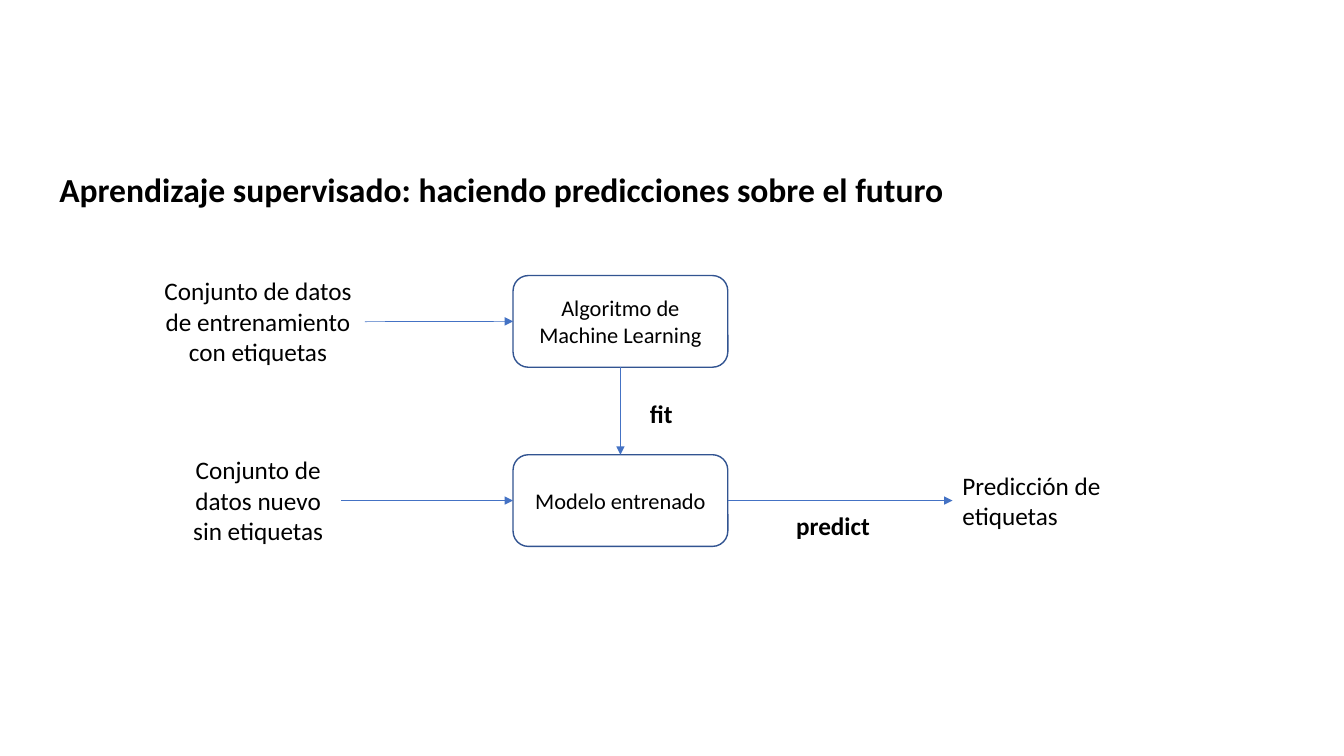
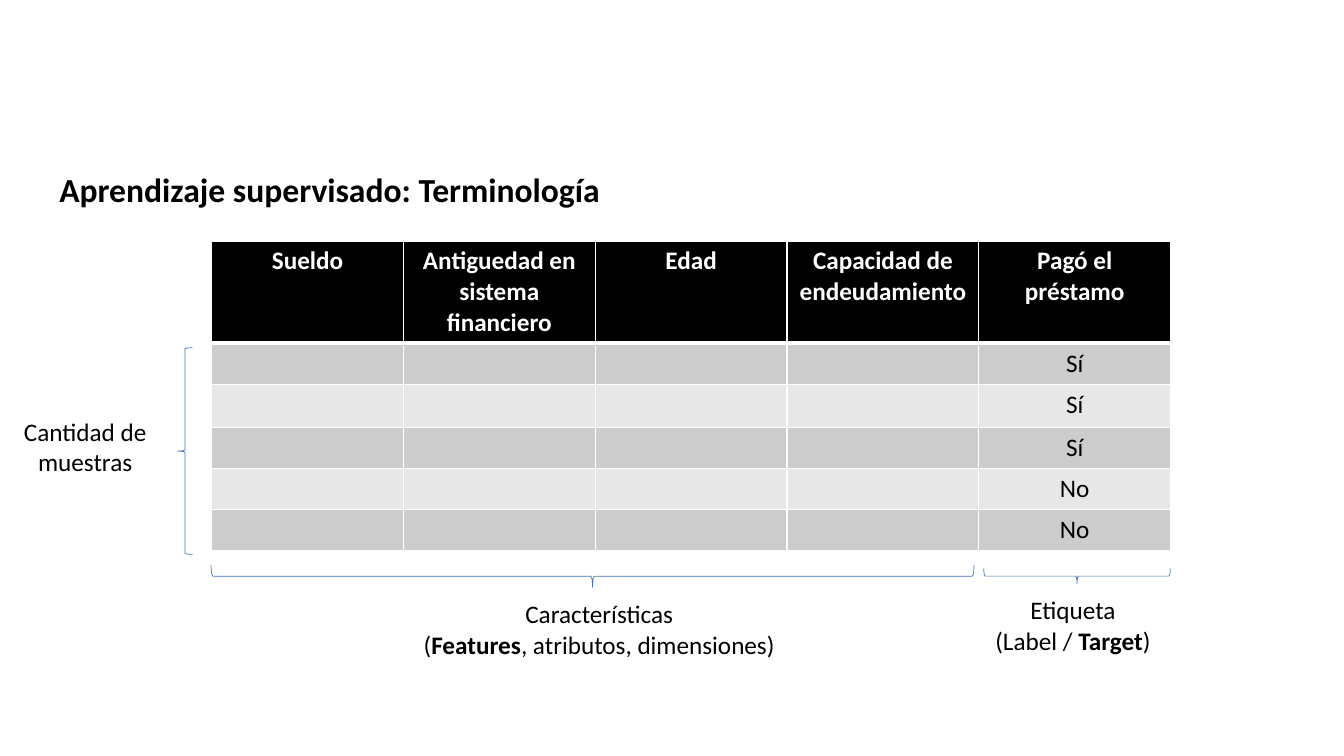
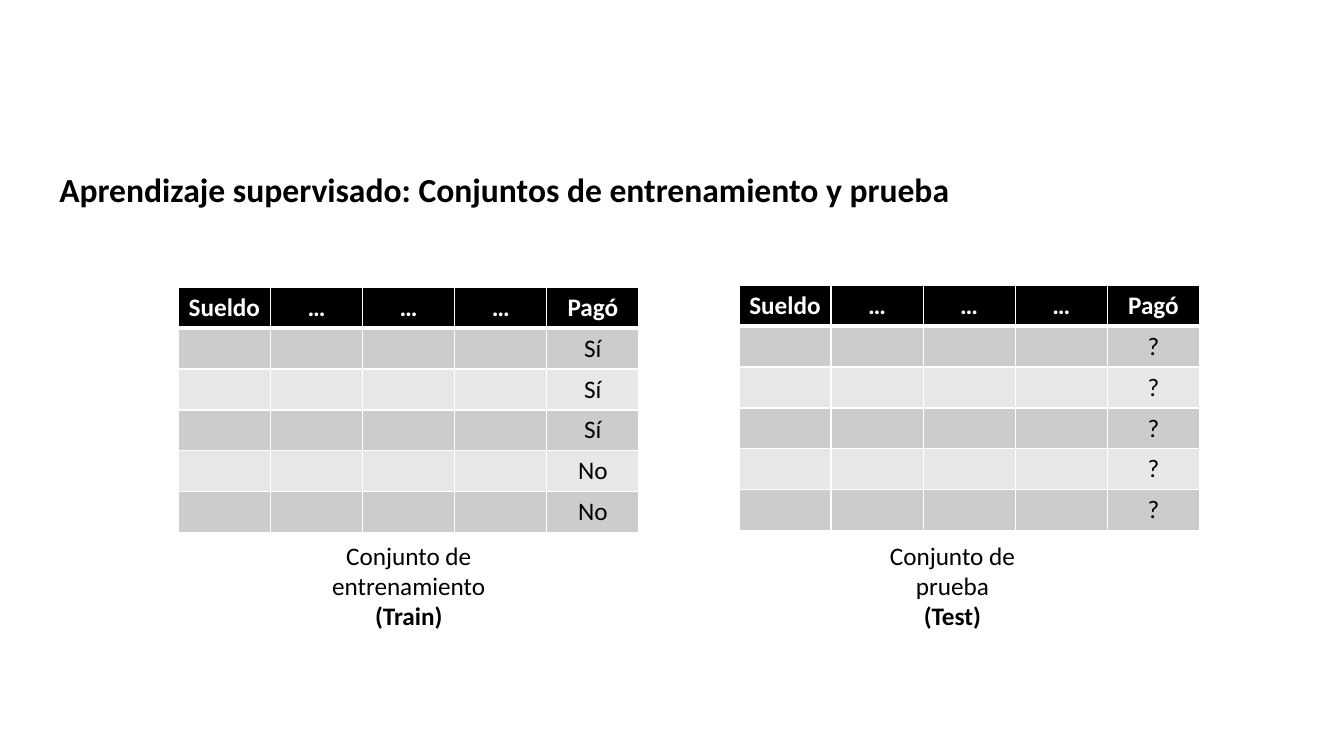
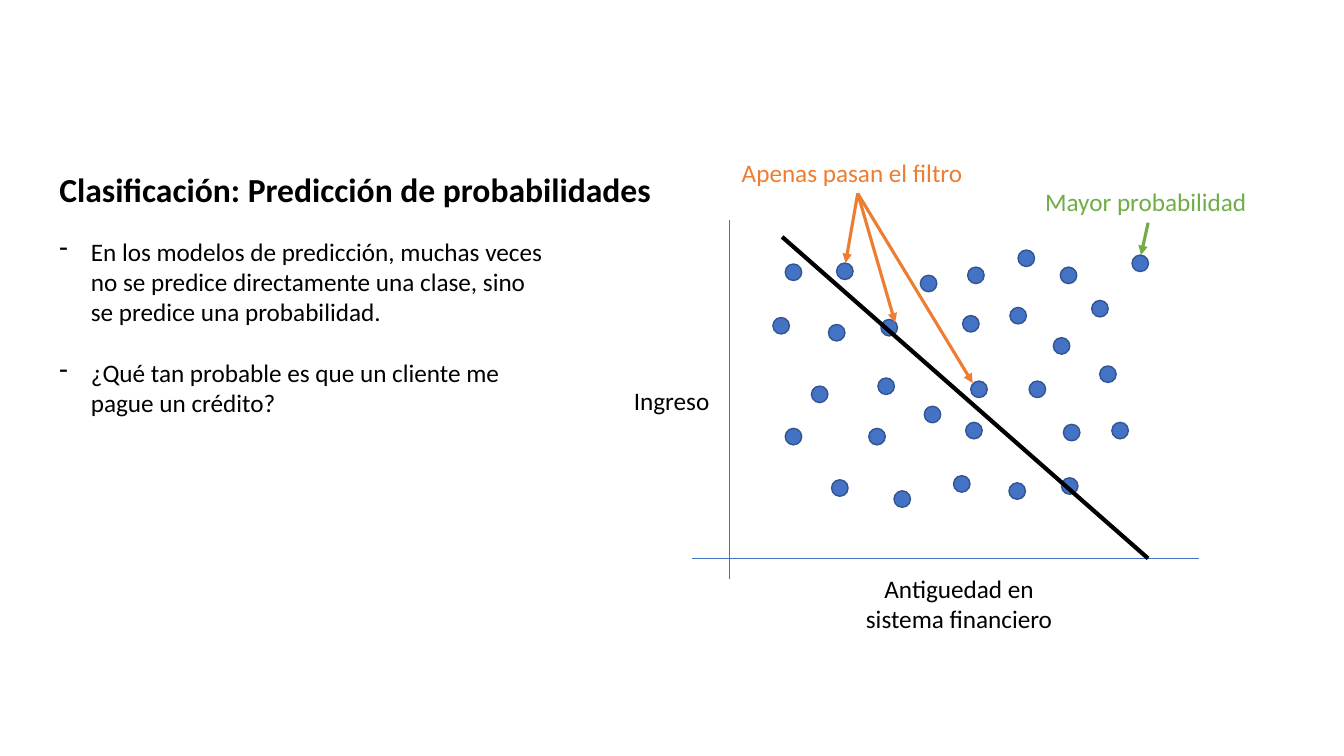
from lxml.etree import SubElement
from pptx import Presentation
from pptx.dml.color import RGBColor
from pptx.enum.shapes import MSO_CONNECTOR, MSO_SHAPE
from pptx.enum.text import MSO_ANCHOR, PP_ALIGN
from pptx.oxml.ns import qn
from pptx.util import Pt

FONT = "Calibri"
BLACK, WHITE = "000000", "FFFFFF"
BLUE, NAVY = "4472C4", "325491"
ORANGE, GREEN = "ED7D31", "70AD47"
BANDS = ["CCCCCC", "E7E7E7"]
TOP, LEFT, BOTTOM, RIGHT = range(4)

TITLES = [
    "Aprendizaje supervisado: haciendo predicciones sobre el futuro",
    "Aprendizaje supervisado: Terminología",
    "Aprendizaje supervisado: Conjuntos de entrenamiento y prueba",
    "Clasificación: Predicción de probabilidades",
]

STAGES = {
    "algoritmo": ("Algoritmo de Machine Learning", 366.5, 196.8, 153.4, 65.5),
    "modelo": ("Modelo entrenado", 366.5, 324.8, 153.4, 65.5),
}
DATASETS = {
    "entrenamiento": ("Conjunto de datos de entrenamiento con etiquetas", 108, 193.4, 152.6, 72.7, PP_ALIGN.CENTER),
    "nuevo": ("Conjunto de datos nuevo sin etiquetas", 125, 321.2, 118.8, 72.7, PP_ALIGN.CENTER),
    "etiquetas": ("Predicción de etiquetas", 680.4, 332.1, 118.8, 50.9, PP_ALIGN.LEFT),
}
FLOWS = [
    ("entrenamiento", RIGHT, "algoritmo", LEFT),
    ("algoritmo", BOTTOM, "modelo", TOP),
    ("nuevo", RIGHT, "modelo", LEFT),
    ("modelo", RIGHT, "etiquetas", LEFT),
]
METHODS = [("*fit*", 457.2, 280.8, 39, 29), ("*predict*", 561.6, 360.7, 76.3, 29)]

LOAN_HEADER = ["Sueldo", "Antiguedad en sistema financiero", "Edad",
               "Capacidad de endeudamiento", "Pagó el préstamo"]
SHORT_HEADER = ["Sueldo", "…", "…", "…", "Pagó"]
PAID = ["Sí", "Sí", "Sí", "No", "No"]
UNKNOWN = ["?"] * 5
TERMS = [
    (["Etiqueta", "(Label / *Target*)"], 696.2, 421.2, 140.4, 51),
    (["Características", "(*Features*, atributos, dimensiones)"], 275, 424.1, 306, 51),
    (["Cantidad de muestras"], -4.3, 293.8, 130.3, 51),
]
BRACES = [(126.7, 248.4, 10.8, 147.6, 0), (415.4, 139, 15.8, 545, 270),
          (763.9, 344.9, 10.8, 133.2, 270)]
SPLITS = [
    (127.4, 205.2, PAID, ["Conjunto de entrenamiento", "*(Train)*"], 209.5, 164.9),
    (527.8, 203.8, UNKNOWN, ["Conjunto de prueba", "*(Test)*"], 609.8, 141.1),
]

POINTS = [
    "En los modelos de predicción, muchas veces no se predice directamente una clase, sino se predice una probabilidad.",
    "¿Qué tan probable es que un cliente me pague un crédito?",
]
CLIENT_SIZE = 11.8
CLIENTS = [
    (566.8, 194.5), (558, 232.7), (603.5, 193.8), (585.5, 281.7), (597.7, 237.7),
    (635.2, 234.1), (633, 275.9), (626.5, 311.9), (566.8, 311.9), (693.5, 231.3),
    (727.3, 225.5), (666.1, 296.1), (699.3, 278.1), (741, 278.1), (599.9, 348.6),
    (644.5, 356.5), (695.7, 307.6), (687, 345.7), (726.6, 350.8), (765.5, 309),
    (764.1, 347.2), (800.1, 307.6), (758.3, 247.1), (785.7, 220.5), (814.5, 188.1),
    (791.4, 267.3), (663.3, 202.5), (697.1, 196.7), (733.1, 184.5), (763.3, 196.7),
]
AXES = [(521.3, 157, 521.3, 413.3), (494.6, 398.9, 856.1, 398.9)]
FILTER_LINE = (558.7, 169.2, 820.1, 398.9)
PLOT_LABELS = [
    ("Ingreso", 445.7, 271.4, 81.4, 29, BLACK, PP_ALIGN.LEFT),
    ("Antiguedad en sistema financiero", 609.8, 406.1, 150.5, 51, BLACK, PP_ALIGN.CENTER),
    ("Mayor probabilidad", 739.4, 129.6, 161.3, 29, GREEN, PP_ALIGN.LEFT),
    ("Apenas pasan el filtro", 522.7, 108.7, 180.7, 29, ORANGE, PP_ALIGN.LEFT),
]
POINTERS = [
    (612.7, 138.2, 604, 187.9, ORANGE), (612.7, 138.2, 639.4, 230.4, ORANGE),
    (612.7, 138.2, 694.8, 273.6, ORANGE), (820.1, 159.1, 815, 182.2, GREEN),
]


def rgb(code):
    return RGBColor.from_string(code)


def write(frame, lines, size=18, color=BLACK, bold=False, align=PP_ALIGN.LEFT,
          spacing=None, gap=0, bullet=None):
    frame.word_wrap = True
    for index, line in enumerate([lines] if isinstance(lines, str) else lines):
        paragraph = frame.add_paragraph() if index else frame.paragraphs[0]
        if bullet:
            properties = paragraph._p.get_or_add_pPr()
            properties.set("marL", str(Pt(22.5)))
            properties.set("indent", str(-Pt(22.5)))
            SubElement(properties, qn("a:buChar")).set("char", bullet)
        paragraph.alignment = align
        if spacing:
            paragraph.line_spacing = spacing
        if index and gap:
            paragraph.space_before = Pt(gap)
        for part, words in enumerate(line.split("*")):
            if words:
                run = paragraph.add_run()
                run.text = words
                run.font.name = FONT
                run.font.size = Pt(size)
                run.font.bold = bold or part % 2 == 1
                run.font.color.rgb = rgb(color)


def add_text(slide, lines, x, y, width, height, **style):
    box = slide.shapes.add_textbox(Pt(x), Pt(y), Pt(width), Pt(height))
    write(box.text_frame, lines, **style)
    return box


def add_outline(slide, preset, x, y, width, height, line, weight, fill=None):
    shape = slide.shapes.add_shape(preset, Pt(x), Pt(y), Pt(width), Pt(height))
    shape.shadow.inherit = False
    if fill:
        shape.fill.solid()
        shape.fill.fore_color.rgb = rgb(fill)
    else:
        shape.fill.background()
    shape.line.color.rgb = rgb(line)
    shape.line.width = Pt(weight)
    return shape


def add_line(slide, x1, y1, x2, y2, color=BLUE, weight=0.5, arrow=False):
    line = slide.shapes.add_connector(MSO_CONNECTOR.STRAIGHT, Pt(x1), Pt(y1), Pt(x2), Pt(y2))
    line.line.color.rgb = rgb(color)
    line.line.width = Pt(weight)
    if arrow:
        SubElement(line.line._get_or_add_ln(), qn("a:tailEnd")).set("type", "triangle")
    SubElement(line._element.spPr, qn("a:effectLst"))
    return line


def add_borders(cell, top, bottom):
    properties = cell._tc.get_or_add_tcPr()
    for side, weight in (("L", 1), ("R", 1), ("T", top), ("B", bottom)):
        edge = SubElement(properties, qn("a:ln" + side))
        edge.set("w", str(Pt(weight)))
        SubElement(SubElement(edge, qn("a:solidFill")), qn("a:srgbClr")).set("val", WHITE)


def add_samples(slide, header, labels, x, y, column, heights):
    rows = [header] + [[""] * (len(header) - 1) + [label] for label in labels]
    table = slide.shapes.add_table(len(rows), len(header), Pt(x), Pt(y),
                                   Pt(column * len(header)), Pt(sum(heights))).table
    table.first_row = table.horz_banding = False
    for grid_column in table.columns:
        grid_column.width = Pt(column)
    for r, values in enumerate(rows):
        table.rows[r].height = Pt(heights[r])
        for c, value in enumerate(values):
            cell = table.cell(r, c)
            add_borders(cell, 3 if r == 1 else 1, 1 if r else 3)
            cell.fill.solid()
            cell.fill.fore_color.rgb = rgb(BANDS[(r - 1) % 2] if r else BLACK)
            write(cell.text_frame, value, color=BLACK if r else WHITE, bold=r == 0,
                  align=PP_ALIGN.CENTER)


def draw_flow(slide):
    nodes = {}
    for key, (label, *place) in STAGES.items():
        stage = add_outline(slide, MSO_SHAPE.ROUNDED_RECTANGLE, *place, NAVY, 1)
        stage.text_frame.vertical_anchor = MSO_ANCHOR.MIDDLE
        write(stage.text_frame, label, size=16, align=PP_ALIGN.CENTER)
        nodes[key] = stage
    for key, (label, *place, align) in DATASETS.items():
        nodes[key] = add_text(slide, label, *place, align=align)
    for source, exit_side, target, entry_side in FLOWS:
        flow = add_line(slide, 0, 0, 0, 0, arrow=True)
        flow.begin_connect(nodes[source], exit_side)
        flow.end_connect(nodes[target], entry_side)
    for method in METHODS:
        add_text(slide, *method)


def draw_terminology(slide):
    add_samples(slide, LOAN_HEADER, PAID, 151.2, 172.1, 137,
                [72, 29.2, 31, 29.2, 29.2, 29.2])
    for term in TERMS:
        add_text(slide, *term, align=PP_ALIGN.CENTER)
    for *place, rotation in BRACES:
        add_outline(slide, MSO_SHAPE.LEFT_BRACE, *place, BLUE, 0.5).rotation = rotation


def draw_split(slide):
    for x, y, labels, caption, caption_x, caption_width in SPLITS:
        add_samples(slide, SHORT_HEADER, labels, x, y, 65.8, [29.2] * 6)
        add_text(slide, caption, caption_x, 382.3, caption_width, 72.7, align=PP_ALIGN.CENTER)


def draw_probabilities(slide):
    for axis in AXES:
        add_line(slide, *axis)
    for x, y in CLIENTS:
        add_outline(slide, MSO_SHAPE.OVAL, x - CLIENT_SIZE / 2, y - CLIENT_SIZE / 2,
                    CLIENT_SIZE, CLIENT_SIZE, NAVY, 1, BLUE)
    add_line(slide, *FILTER_LINE, color=BLACK, weight=3)
    for label, *place, color, align in PLOT_LABELS:
        add_text(slide, label, *place, color=color, align=align)
    for *ends, color in POINTERS:
        add_line(slide, *ends, color=color, weight=2.25, arrow=True)
    add_text(slide, POINTS, 35.3, 164.9, 366.5, 181.4, bullet="-", gap=22)


def main():
    deck = Presentation()
    deck.slide_width, deck.slide_height = Pt(960), Pt(540)
    drawings = [draw_flow, draw_terminology, draw_split, draw_probabilities]
    for title, draw in zip(TITLES, drawings):
        slide = deck.slides.add_slide(deck.slide_layouts[6])
        draw(slide)
        add_text(slide, title, 35.3, 103, 720, 46, size=24, bold=True, spacing=1.5)
    deck.save("out.pptx")


if __name__ == "__main__":
    main()
